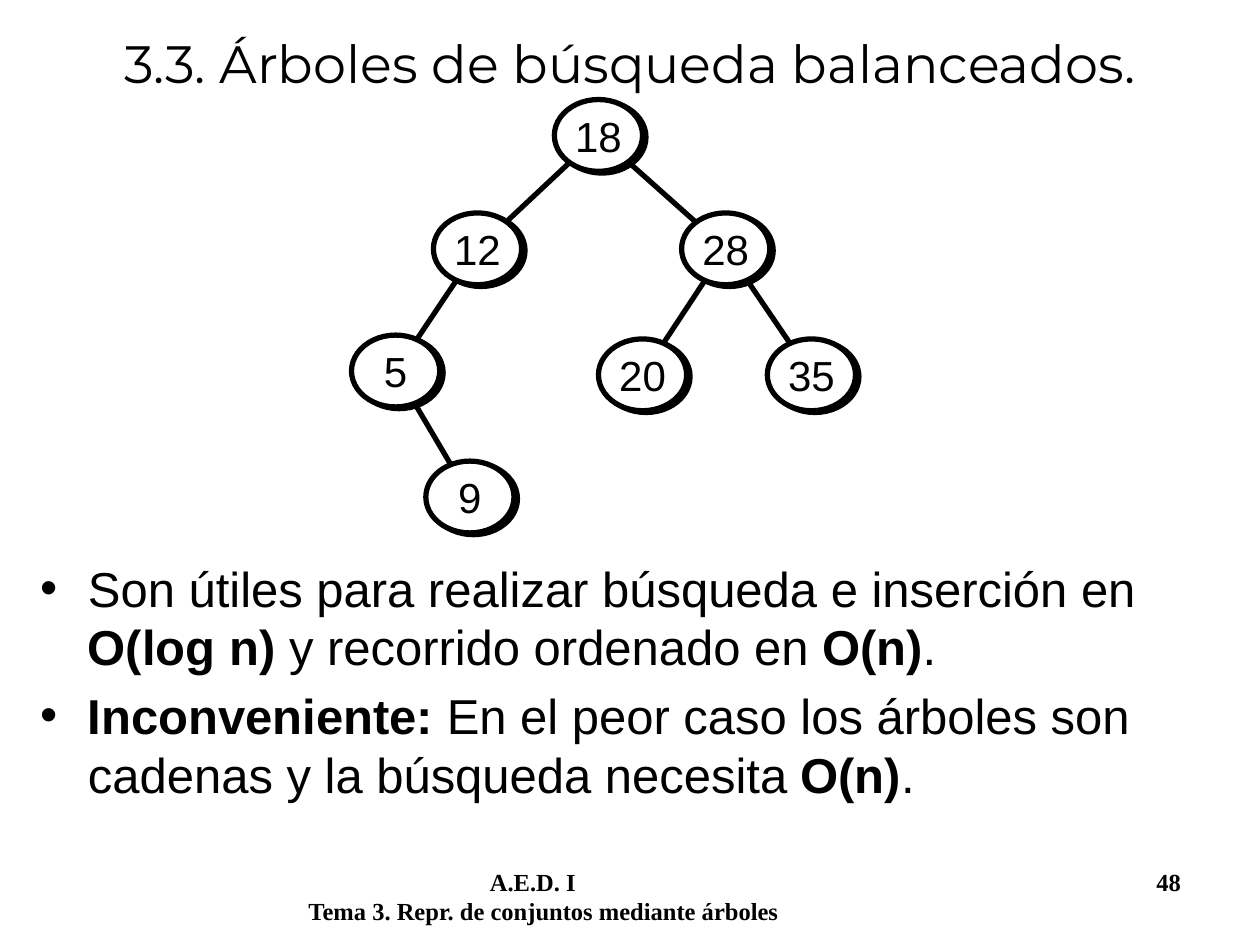
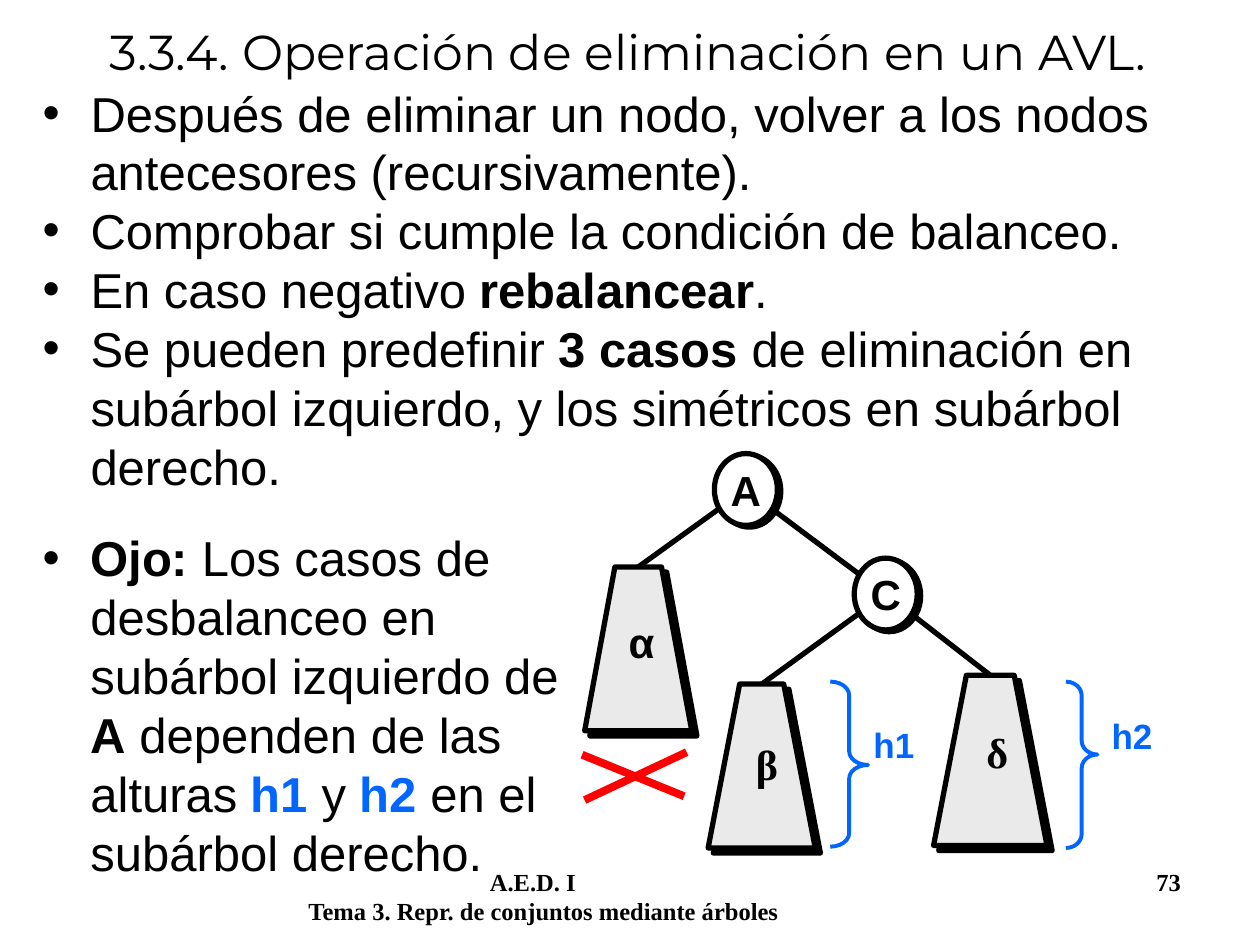
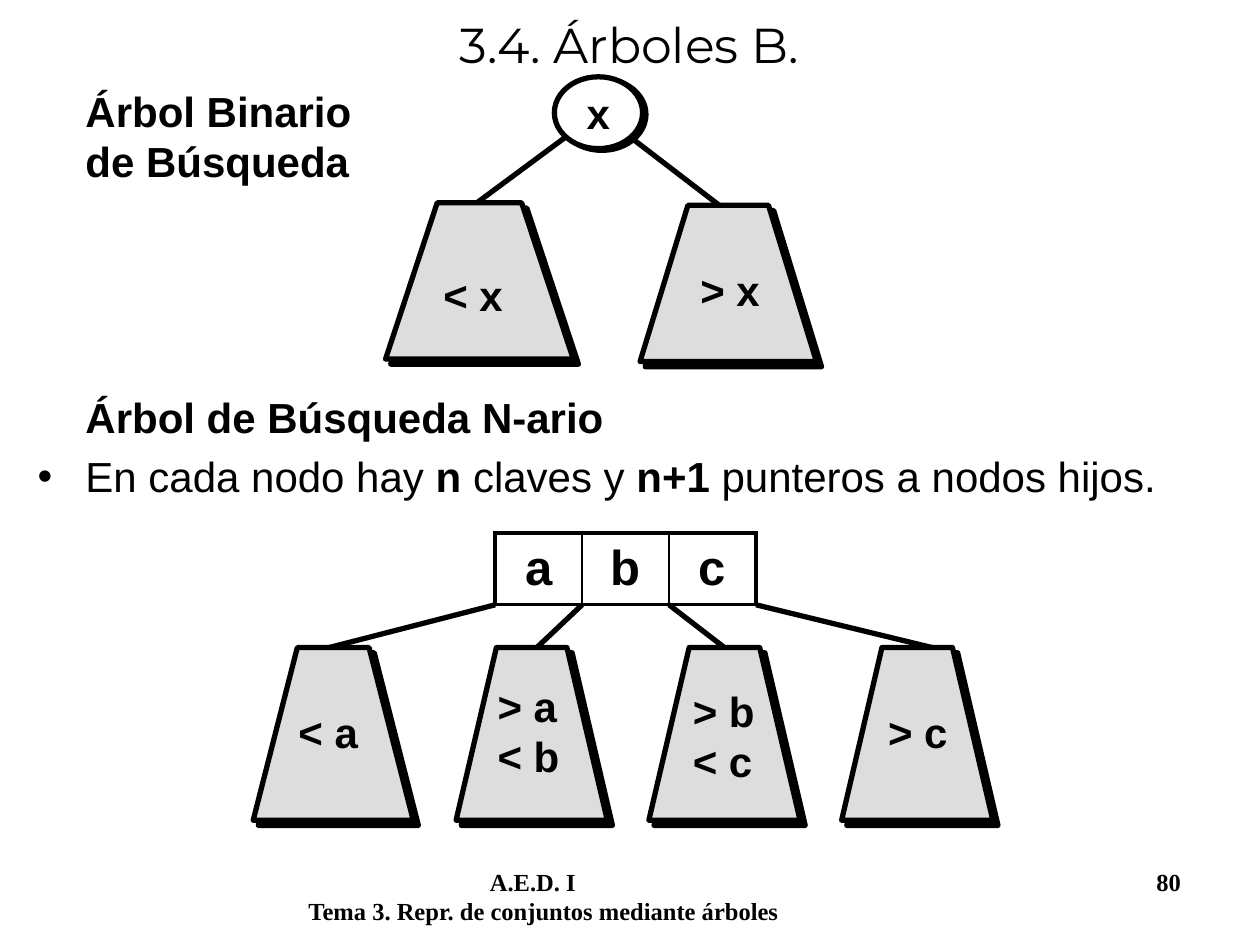
import pptx
import pptx.chart.data
import pptx.dml.color
import pptx.enum.shapes
import pptx.enum.text
import pptx.oxml
import pptx.oxml.ns
import pptx.util
from lxml import etree

Inches = pptx.util.Inches
Pt = pptx.util.Pt
RGB = pptx.dml.color.RGBColor
SHAPE = pptx.enum.shapes.MSO_SHAPE
ALIGN = pptx.enum.text.PP_ALIGN
ANCHOR = pptx.enum.text.MSO_ANCHOR
qn = pptx.oxml.ns.qn

BLACK = RGB(0x00, 0x00, 0x00)
WHITE = RGB(0xFF, 0xFF, 0xFF)
BLUE = RGB(0x00, 0x66, 0xFF)
RED = RGB(0xFF, 0x00, 0x00)
LIGHT_GRAY = RGB(0xEA, 0xEA, 0xEA)
GRAY = RGB(0xDD, 0xDD, 0xDD)
SANS, SERIF, TITLE_FONT = "Arial", "Times New Roman", "Montserrat"

COURSE = "A.E.D. I"
TOPIC = "Tema 3. Repr. de conjuntos mediante árboles"

BALANCED_TEXT = [
    [("Son útiles para realizar búsqueda e inserción en ",), ("O(log n)", True),
     (" y recorrido ordenado en ",), ("O(n)", True), (".",)],
    [("Inconveniente:", True),
     (" En el peor caso los árboles son cadenas y la búsqueda necesita ",),
     ("O(n)", True), (".",)],
]
BALANCED_NODES = {"18": (4.4, 0.79), "12": (3.44, 1.69), "28": (5.41, 1.69),
                  "20": (4.75, 2.69), "35": (6.09, 2.69), "5": (2.79, 2.66),
                  "9": (3.38, 3.66)}
BALANCED_EDGES = [("18", "12"), ("12", "5"), ("18", "28"), ("28", "35"),
                  ("28", "20"), ("5", "9")]

REMOVAL_TEXT = [
    [("Después de eliminar un nodo, volver a los nodos antecesores (recursivamente).",)],
    [("Comprobar si cumple la condición de balanceo.",)],
    [("En caso negativo ",), ("rebalancear", True), (".",)],
    [("Se pueden predefinir ",), ("3 casos", True),
     (" de eliminación en subárbol izquierdo, y los simétricos en subárbol derecho.",)],
]
WARNING_TEXT = [
    [("Ojo:", True), (" Los casos de desbalanceo en subárbol izquierdo de ",),
     ("A", True), (" dependen de las alturas ",), ("h1", True, BLUE), (" y ",),
     ("h2", True, BLUE), (" en el subárbol derecho.",)],
]
AVL_NODES = {"C": (6.78, 4.43), "A": (5.67, 3.6)}
AVL_SUBTREES = [
    ("A", (4.64, 4.5, 0.85, 1.3, 0.24), "α", SANS, (4.89, 4.84, 0.49, 0.5)),
    ("C", (5.62, 5.43, 0.85, 1.3, 0.25), "β", SERIF, (5.9, 5.81, 0.44, 0.5)),
    ("C", (7.41, 5.36, 0.9, 1.35, 0.26), "δ", SERIF, (7.73, 5.72, 0.46, 0.5)),
]
HEIGHTS = [
    ("h1", (6.71, 5.69, 0.77, 0.53), (6.59, 5.41, 0.3, 1.31), (0.358, 0.505)),
    ("h2", (8.6, 5.62, 0.77, 0.53), (8.46, 5.41, 0.25, 1.32), (0.437, 0.438)),
]
CROSS = [((5.45, 5.97), (4.64, 6.35)), ((5.43, 6.32), (4.62, 5.99))]

NARY_TEXT = [
    [("En cada nodo hay ",), ("n", True), (" claves y ",), ("n+1", True),
     (" punteros a nodos hijos.",)],
]
BINARY_SUBTREES = [
    ((3.06, 1.61, 1.49, 1.24, 0.41), "< x", (3.42, 2.09, 1.13, 0.5), (3.73, 1.65)),
    ((5.08, 1.63, 1.4, 1.24, 0.38), "> x", (5.46, 2.05, 1.13, 0.5), (5.84, 1.73)),
]
KEYS = ["a", "b", "c"]
KEY_LEFT, KEY_TOP, KEY_W, KEY_H = 3.93, 4.23, 0.69, 0.57
NARY_SUBTREES = [
    ((2.01, 5.14, 1.27, 1.37, 0.35), "< a", (2.27, 5.56, 1.18, 0.5), 2.61),
    ((3.62, 5.14, 1.2, 1.37, 0.32), "> a\v< b", (3.85, 5.35, 0.85, 0.9), 4.26),
    ((5.15, 5.14, 1.2, 1.37, 0.32), "> b\v< c", (5.4, 5.39, 0.85, 0.9), 5.75),
    ((6.68, 5.14, 1.2, 1.37, 0.32), "> c", (6.95, 5.56, 0.85, 0.5), 7.4),
]


def add_run(p, text, size, font=SANS, bold=False, color=BLACK):
    for i, part in enumerate(text.split("\v")):
        if i:
            p.add_line_break()
        r = p.add_run()
        r.text = part
        r.font.size, r.font.name, r.font.bold = Pt(size), font, bold
        r.font.color.rgb = color


def add_box(s, box, anchor=ANCHOR.TOP):
    tf = s.shapes.add_textbox(*map(Inches, box)).text_frame
    tf.word_wrap = True
    tf.vertical_anchor = anchor
    return tf


def add_label(s, box, text, size=24, font=SANS, bold=True, color=BLACK,
              align=ALIGN.LEFT, anchor=ANCHOR.TOP):
    p = add_box(s, box, anchor).paragraphs[0]
    p.alignment = align
    add_run(p, text, size, font, bold, color)


def add_bullets(s, box, items, size=28, gap=0.0, heading=None):
    tf = add_box(s, box)
    rows = ([(heading, False)] if heading else []) + [(item, True) for item in items]
    for i, (runs, bulleted) in enumerate(rows):
        p = tf.paragraphs[0] if i == 0 else tf.add_paragraph()
        pPr = p._p.get_or_add_pPr()
        pPr.set("marL", str(Inches(0.38)))
        pPr.set("indent", str(Inches(-0.38) if bulleted else 0))
        if bulleted:
            etree.SubElement(pPr, qn("a:buFont")).set("typeface", SANS)
            etree.SubElement(pPr, qn("a:buChar")).set("char", "•")
        if i:
            p.space_before = Pt(gap)
        for text, *style in runs:
            add_run(p, text, size, SANS, *style)


def add_footer(s, number):
    tf = add_box(s, (2.35, 6.83, 7.4, 0.5))
    p = tf.paragraphs[0]
    tabs = etree.SubElement(p._p.get_or_add_pPr(), qn("a:tabLst"))
    for pos in (1.44, 6.73):
        tab = etree.SubElement(tabs, qn("a:tab"))
        tab.set("pos", str(Inches(pos)))
        tab.set("algn", "l")
    add_run(p, f"\t{COURSE}\t{number}", 14, SERIF, True)
    add_run(tf.add_paragraph(), TOPIC, 14, SERIF, True)


def new_slide(prs, title, box, size, number):
    s = prs.slides.add_slide(prs.slide_layouts[6])
    add_footer(s, number)
    add_label(s, box, title, size, TITLE_FONT, False, align=ALIGN.CENTER,
              anchor=ANCHOR.MIDDLE)
    return s


def style_shape(sp, fill, distance, angle):
    sp.fill.solid()
    sp.fill.fore_color.rgb = fill
    sp.line.color.rgb = BLACK
    sp.line.width = Pt(3)
    sp.shadow.inherit = False
    effects = sp._element.spPr.find(qn("a:effectLst"))
    shadow = etree.SubElement(effects, qn("a:outerShdw"), dist=str(Pt(distance)),
                              dir=str(angle * 60000), algn="ctr", rotWithShape="0")
    etree.SubElement(shadow, qn("a:srgbClr"), val=str(BLACK))


def add_edge(s, start, end, color=BLACK, width=3.0):
    line = s.shapes.add_connector(pptx.enum.shapes.MSO_CONNECTOR.STRAIGHT,
                                  *map(Inches, (*start, *end)))
    line.line.color.rgb = color
    line.line.width = Pt(width)
    etree.SubElement(line._element.spPr, qn("a:effectLst"))


def add_node(s, text, corner, width=0.7, bold=False):
    sp = s.shapes.add_shape(SHAPE.OVAL, *map(Inches, (*corner, width, 0.57)))
    style_shape(sp, WHITE, 2.2, 27)
    tf = sp.text_frame
    tf.margin_left = tf.margin_right = Inches(0.02)
    tf.margin_top = tf.margin_bottom = Inches(0.01)
    tf.vertical_anchor = ANCHOR.MIDDLE
    tf.paragraphs[0].alignment = ALIGN.CENTER
    add_run(tf.paragraphs[0], text, 24, bold=bold)


def add_subtree(s, outline, fill):
    x, y, w, h, slant = outline
    corners = [(x, y + h), (x + slant, y), (x + w - slant, y), (x + w, y + h)]
    points = [(Inches(px), Inches(py)) for px, py in corners]
    builder = s.shapes.build_freeform(*points[0])
    builder.add_line_segments(points[1:], close=True)
    style_shape(builder.convert_to_shape(), fill, 4.2, 45)


def center(corner, width=0.7):
    return corner[0] + width / 2, corner[1] + 0.285


def add_key_table(s):
    table = s.shapes.add_table(1, len(KEYS), *map(
        Inches, (KEY_LEFT, KEY_TOP, KEY_W * len(KEYS), KEY_H))).table
    table.rows[0].height = Inches(KEY_H)
    last = len(KEYS) - 1
    for i, key in enumerate(KEYS):
        table.columns[i].width = Inches(KEY_W)
        cell = table.cell(0, i)
        cell.vertical_anchor = ANCHOR.MIDDLE
        p = cell.text_frame.paragraphs[0]
        p.alignment = ALIGN.CENTER
        add_run(p, key, 28, bold=True)
        widths = {"a:lnL": 1 if i else 2.25, "a:lnR": 1 if i < last else 2.25,
                  "a:lnT": 2.25, "a:lnB": 2.25}
        for tag, width in widths.items():
            ln = etree.SubElement(cell._tc.get_or_add_tcPr(), qn(tag), w=str(Pt(width)))
            solid = etree.SubElement(ln, qn("a:solidFill"))
            etree.SubElement(solid, qn("a:srgbClr"), val=str(BLACK))
        cell.fill.background()


def build_balanced(prs):
    s = new_slide(prs, "3.3. Árboles de búsqueda balanceados.", (0, 0, 10, 1), 30, 48)
    add_bullets(s, (0.22, 4.38, 9.5, 2.25), BALANCED_TEXT, gap=5.6)
    for parent, child in BALANCED_EDGES:
        add_edge(s, center(BALANCED_NODES[parent]), center(BALANCED_NODES[child]))
    for key, corner in BALANCED_NODES.items():
        add_node(s, key, corner)


def build_removal(prs):
    s = new_slide(prs, "3.3.4. Operación de eliminación en un AVL.",
                  (0.21, 0, 9.55, 0.81), 28, 73)
    add_bullets(s, (0.24, 0.61, 9.49, 3.46), REMOVAL_TEXT)
    centers = {name: center(corner, 0.5) for name, corner in AVL_NODES.items()}
    add_edge(s, centers["A"], centers["C"])
    for parent, (x, y, w, h, slant), *label in AVL_SUBTREES:
        add_edge(s, centers[parent], (x + w / 2, y))
    for name, corner in AVL_NODES.items():
        add_node(s, name, corner, 0.5, True)
    for parent, outline, name, font, box in AVL_SUBTREES:
        add_subtree(s, outline, LIGHT_GRAY)
        add_label(s, box, name, font=font)
    for name, box, brace_box, adjustments in HEIGHTS:
        add_label(s, box, name, 20, color=BLUE, align=ALIGN.CENTER)
        brace = s.shapes.add_shape(SHAPE.LEFT_BRACE, *map(Inches, brace_box))
        brace._element.spPr.find(qn("a:xfrm")).set("flipH", "1")
        for i, value in enumerate(adjustments):
            brace.adjustments[i] = value
        brace.fill.background()
        brace.line.color.rgb = BLUE
        brace.line.width = Pt(2.25)
        brace.shadow.inherit = False
    for start, end in CROSS:
        add_edge(s, start, end, RED, 4.5)
    add_bullets(s, (0.24, 4.14, 4.54, 2.85), WARNING_TEXT)


def build_b_trees(prs):
    s = new_slide(prs, "3.4. Árboles B.", (0.33, 0, 9.33, 0.7), 28, 80)
    add_label(s, (0.58, 0.63, 3, 0.95), "Árbol Binario\vde Búsqueda")
    add_bullets(s, (0.2, 3.06, 9.48, 1.05), NARY_TEXT, 24, 4.8,
                heading=[("Árbol de Búsqueda N-ario", True)])
    root = (4.4, 0.61)
    for outline, text, box, end in BINARY_SUBTREES:
        add_edge(s, center(root), end)
    add_node(s, "x", root, bold=True)
    for i, (outline, text, box, end_x) in enumerate(NARY_SUBTREES):
        add_edge(s, (KEY_LEFT + KEY_W * i, KEY_TOP + KEY_H), (end_x, outline[1]))
    for outline, text, box, end in BINARY_SUBTREES + NARY_SUBTREES:
        add_subtree(s, outline, GRAY)
        add_label(s, box, text)
    add_key_table(s)


def main():
    prs = pptx.Presentation()
    prs.slide_width, prs.slide_height = Inches(10), Inches(7.5)
    build_balanced(prs)
    build_removal(prs)
    build_b_trees(prs)
    prs.save("out.pptx")


if __name__ == "__main__":
    main()
